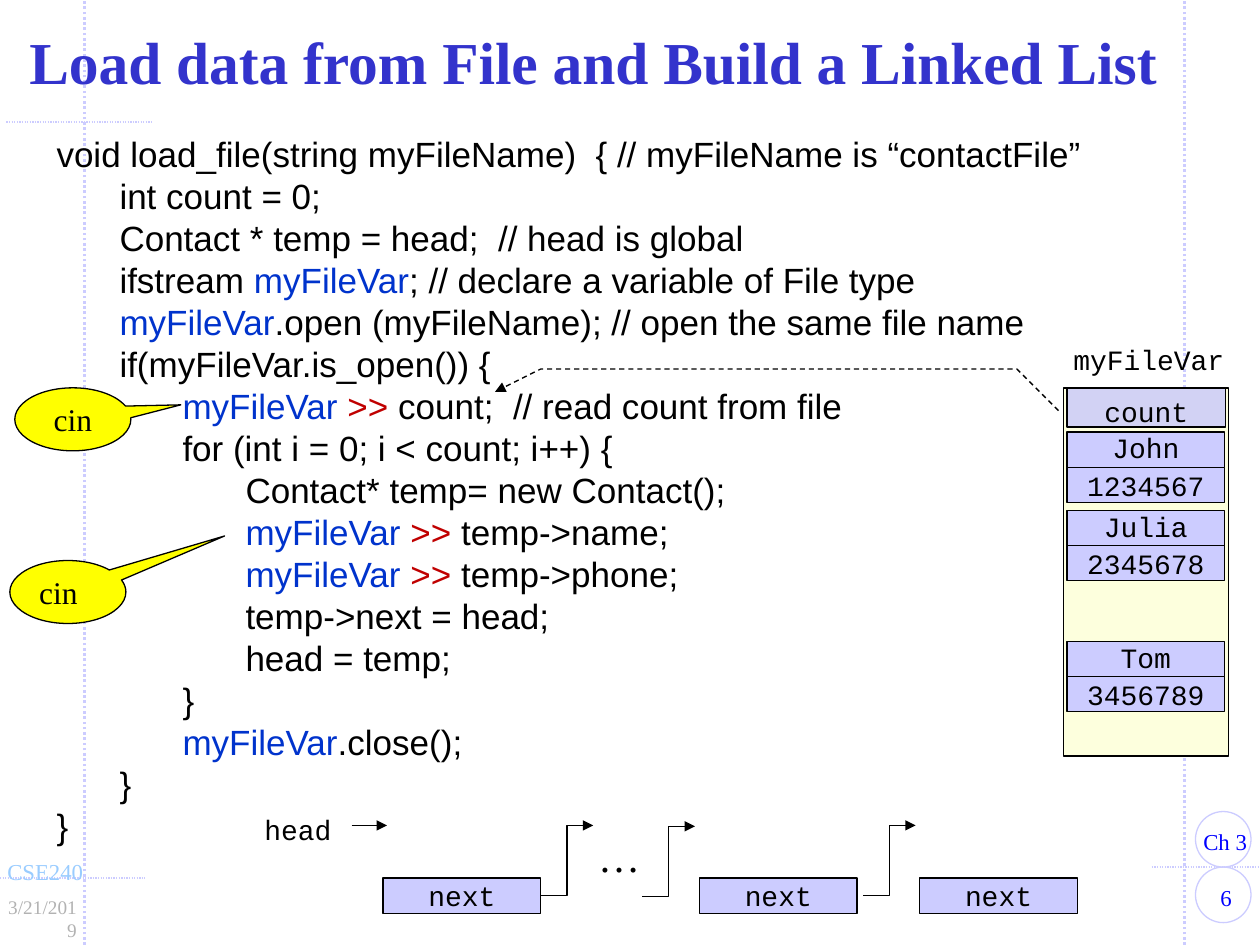
from typing import NamedTuple

from lxml import etree
from pptx import Presentation
from pptx.dml.color import RGBColor
from pptx.enum.dml import MSO_LINE
from pptx.enum.shapes import MSO_CONNECTOR, MSO_SHAPE
from pptx.enum.text import MSO_ANCHOR, MSO_AUTO_SIZE, PP_ALIGN
from pptx.oxml.ns import qn
from pptx.util import Cm, Pt

RECT, ELLIPSE = MSO_SHAPE.RECTANGLE, MSO_SHAPE.OVAL
CALLOUT = MSO_SHAPE.OVAL_CALLOUT
STRAIGHT, ELBOW = MSO_CONNECTOR.STRAIGHT, MSO_CONNECTOR.ELBOW
LEFT, CENTER, RIGHT = PP_ALIGN.LEFT, PP_ALIGN.CENTER, PP_ALIGN.RIGHT
TOP, MIDDLE = MSO_ANCHOR.TOP, MSO_ANCHOR.MIDDLE
DOTTED, DASHED = MSO_LINE.ROUND_DOT, MSO_LINE.DASH
FIT = MSO_AUTO_SIZE.SHAPE_TO_FIT_TEXT

BLACK = RGBColor(0x00, 0x00, 0x00)
LAVENDER = RGBColor(0xCC, 0xCC, 0xFF)
PALE_LAVENDER = RGBColor(0xD2, 0xD2, 0xF4)
CREAM = RGBColor(0xFD, 0xFF, 0xDD)
YELLOW = RGBColor(0xFF, 0xFF, 0x00)
TITLE_BLUE = RGBColor(0x33, 0x33, 0xCC)
PAGE_BLUE = RGBColor(0x00, 0x00, 0xFF)
SKY = RGBColor(0x99, 0xCC, 0xFF)
GRAY = RGBColor(0xB2, 0xB2, 0xB2)
CODE_BLUE = RGBColor(0x00, 0x33, 0xCC)
CODE_RED = RGBColor(0xC0, 0x00, 0x00)

SANS, MONO, SERIF = "Arial", "Courier New", "Times New Roman"
CELL_WIDTH, CELL_HEIGHT = 3.18, 0.71
RECORD_LEFT = 21.51
TAB_STEP = 1.27


class Span(NamedTuple):
    text: str
    color: RGBColor = BLACK


class Record(NamedTuple):
    name: str
    phone: str
    top: float


class Rule(NamedTuple):
    start: tuple[float, float]
    end: tuple[float, float]
    width: float


class Callout(NamedTuple):
    left: float
    top: float
    tip: tuple[float, float]
    align: PP_ALIGN


VARIABLE = Span("myFileVar", CODE_BLUE)
READ = (Span("myFileVar ", CODE_BLUE), Span(">>", CODE_RED))

# Each code line: indent depth, then its spans
CODE = [
    (0, Span("void load_file(string myFileName)  { // myFileName is “contactFile”")),
    (1, Span("int count = 0;")),
    (1, Span("Contact * temp = head;  // head is global")),
    (1, Span("ifstream "), VARIABLE, Span("; // declare a variable of File type")),
    (1, VARIABLE, Span(".open (myFileName); // open the same file name")),
    (1, Span("if(myFileVar.is_open()) {")),
    (2, *READ, Span(" count;  // read count from file")),
    (2, Span("for (int i = 0; i < count; i++) {")),
    (3, Span("Contact* temp= new Contact();")),
    (3, *READ, Span(" temp->name;")),
    (3, *READ, Span(" temp->phone;")),
    (3, Span("temp->next = head;")),
    (3, Span("head = temp;")),
    (2, Span("}")),
    (2, VARIABLE, Span(".close();")),
    (1, Span("}")),
    (0, Span("}")),
]
RULES = [
    Rule((1.7, 19.05), (1.7, 0), 1.5),
    Rule((0, 17.7), (2.92, 17.7), 0.75),
    Rule((23.88, 19.05), (23.88, 0), 1.5),
    Rule((23.22, 17.48), (25.53, 17.48), 0.75),
    Rule((0.13, 2.46), (3.05, 2.46), 0.75),
]
RECORDS = [
    Record("John", "1234567", 8.71),
    Record("Julia", "2345678", 10.29),
    Record("Tom", "3456789", 12.93),
]
CALLOUTS = [
    Callout(0.2, 11.3, (1.35, -0.89), LEFT),
    Callout(0.3, 7.82, (0.93, -0.23), CENTER),
]


def add_span(para, span: Span, *, font: str, size: float, bold: bool = False) -> None:
    run = para.add_run()
    run.text = span.text
    run.font.name, run.font.size, run.font.bold = font, Pt(size), bold
    run.font.color.rgb = span.color


def write(shape, text: str, *, font: str = MONO, size: float = 16, color: RGBColor = BLACK,
          bold: bool = False, align: PP_ALIGN = LEFT, anchor: MSO_ANCHOR = TOP,
          wrap: bool = False, spacing: float = 1.0) -> None:
    frame = shape.text_frame
    frame.word_wrap, frame.vertical_anchor = wrap, anchor
    para = frame.paragraphs[0]
    para.alignment, para.line_spacing = align, spacing
    add_span(para, Span(text, color), font=font, size=size, bold=bold)


def add_label(page, text: str, left: float, top: float, width: float, height: float,
              *, inset: float = 0.25, fit: bool = True, **style):
    box = page.shapes.add_textbox(Cm(left), Cm(top), Cm(width), Cm(height))
    box.text_frame.margin_left = box.text_frame.margin_right = Cm(inset)
    write(box, text, **style)
    if fit:
        box.text_frame.auto_size = FIT
    return box


def add_figure(page, kind, left: float, top: float, width: float, height: float,
               *, fill: RGBColor | None = None, line: RGBColor = BLACK):
    shape = page.shapes.add_shape(kind, Cm(left), Cm(top), Cm(width), Cm(height))
    shape.shadow.inherit = False
    if fill is None:
        shape.fill.background()
    else:
        shape.fill.solid()
        shape.fill.fore_color.rgb = fill
    shape.line.color.rgb, shape.line.width = line, Pt(0.75)
    return shape


def add_cell(page, text: str, left: float, top: float, spacing: float = 1.0):
    cell = add_figure(page, RECT, left, top, CELL_WIDTH, CELL_HEIGHT, fill=LAVENDER)
    write(cell, text, align=CENTER, anchor=MIDDLE, spacing=spacing)
    return cell


def add_arrowhead(shape) -> None:
    etree.SubElement(shape.line._get_or_add_ln(), qn("a:tailEnd"), type="triangle")


def add_line(page, kind, start, end, *, color: RGBColor = BLACK, width: float = 0.75,
             dash=None, arrow: bool = False):
    line = page.shapes.add_connector(kind, *map(Cm, start), *map(Cm, end))
    line.line.color.rgb, line.line.width = color, Pt(width)
    if dash is not None:
        line.line.dash_style = dash
    if arrow:
        add_arrowhead(line)
    etree.SubElement(line._element.spPr, qn("a:effectLst"))
    return line


def add_code(page) -> None:
    box = page.shapes.add_textbox(Cm(0.89), Cm(2.54), Cm(21.34), Cm(14.78))
    frame = box.text_frame
    frame.word_wrap, frame.auto_size = False, FIT
    for index, (depth, *spans) in enumerate(CODE):
        para = frame.add_paragraph() if index else frame.paragraphs[0]
        tabs = etree.SubElement(para._p.get_or_add_pPr(), qn("a:tabLst"))
        for stop in range(1, 5):
            etree.SubElement(tabs, qn("a:tab"), pos=str(Cm(TAB_STEP * stop)), algn="l")
        if depth:
            add_span(para, Span("\t" * depth), font=SANS, size=20)
        for span in spans:
            add_span(para, span, font=SANS, size=20)


def main() -> None:
    deck = Presentation()
    deck.slide_width, deck.slide_height = Cm(25.4), Cm(19.05)
    page = deck.slides.add_slide(deck.slide_layouts[6])

    # Page frame and footer
    for rule in RULES:
        add_line(page, STRAIGHT, rule.start, rule.end, color=LAVENDER, width=rule.width, dash=DOTTED)
    for top in (17.48, 16.36):
        add_figure(page, ELLIPSE, 24.1, top, 1.12, 1.12, line=LAVENDER)
    footer = {"font": SERIF, "size": 13, "inset": 0.28}
    add_label(page, "6", 23.98, 17.7, 1.47, 0.81, color=PAGE_BLUE, align=CENTER, wrap=True, **footer)
    add_label(page, "Ch 3", 23.98, 16.56, 1.6, 0.81, color=PAGE_BLUE, **footer)
    add_label(page, "CSE240", -0.13, 17.17, 2.25, 0.81, color=SKY, **footer)
    add_label(page, "3/21/2019", -0.28, 17.93, 2.11, 0.74, color=GRAY, align=RIGHT,
              wrap=True, **{**footer, "size": 11})

    # Title and code
    add_label(page, "Load data from File and Build a Linked List", 0, 0.44, 23.93, 1.78,
              inset=0.28, fit=False, font=SERIF, size=34, color=TITLE_BLUE, bold=True,
              align=CENTER, anchor=MIDDLE, wrap=True, spacing=0.85)
    add_code(page)

    # Linked list
    nodes = [add_cell(page, "next", left, 17.7) for left in (7.72, 14.1, 18.54)]
    add_label(page, "head", 5.08, 16.26, 1.88, 0.94)
    add_line(page, STRAIGHT, (7.09, 16.64), (7.8, 16.64), arrow=True)
    links = [add_line(page, ELBOW, (left, top), (left + 1.06, top - 1.42), arrow=True)
             for left, top in ((10.9, 18.06), (12.95, 18.08), (17.4, 18.06))]
    links[0].begin_connect(nodes[0], 3)
    add_label(page, "…", 11.81, 16.61, 1.37, 1.27, font=SERIF, size=24)

    # File contents
    add_figure(page, RECT, 21.44, 7.82, 3.33, 7.42, fill=CREAM)
    add_label(page, "myFileVar", 21.39, 6.78, 3.61, 0.94)
    count = add_figure(page, RECT, RECORD_LEFT, 7.82, 3.2, 0.79, fill=PALE_LAVENDER)
    write(count, "count", align=CENTER, wrap=True)
    for record in RECORDS:
        add_cell(page, record.name, RECORD_LEFT, record.top, spacing=0.9)
        add_cell(page, record.phone, RECORD_LEFT, record.top + CELL_HEIGHT)

    # Callouts
    for callout in CALLOUTS:
        bubble = add_figure(page, CALLOUT, callout.left, callout.top, 2.34, 1.27, fill=YELLOW)
        bubble.adjustments[0], bubble.adjustments[1] = callout.tip
        write(bubble, "cin", font=SERIF, size=18, align=callout.align, anchor=MIDDLE, wrap=True)

    # Dashed pointer from the stored count to the code that reads it
    builder = page.shapes.build_freeform(Cm(21.34), Cm(8.28))
    bends = [(20.5, 7.44), (10.9, 7.44), (9.98, 7.9)]
    builder.add_line_segments([(Cm(x), Cm(y)) for x, y in bends], close=False)
    pointer = builder.convert_to_shape()
    pointer.shadow.inherit = False
    pointer.fill.background()
    pointer.line.color.rgb, pointer.line.width = BLACK, Pt(0.75)
    pointer.line.dash_style = DASHED
    add_arrowhead(pointer)

    deck.save("out.pptx")


if __name__ == "__main__":
    main()
